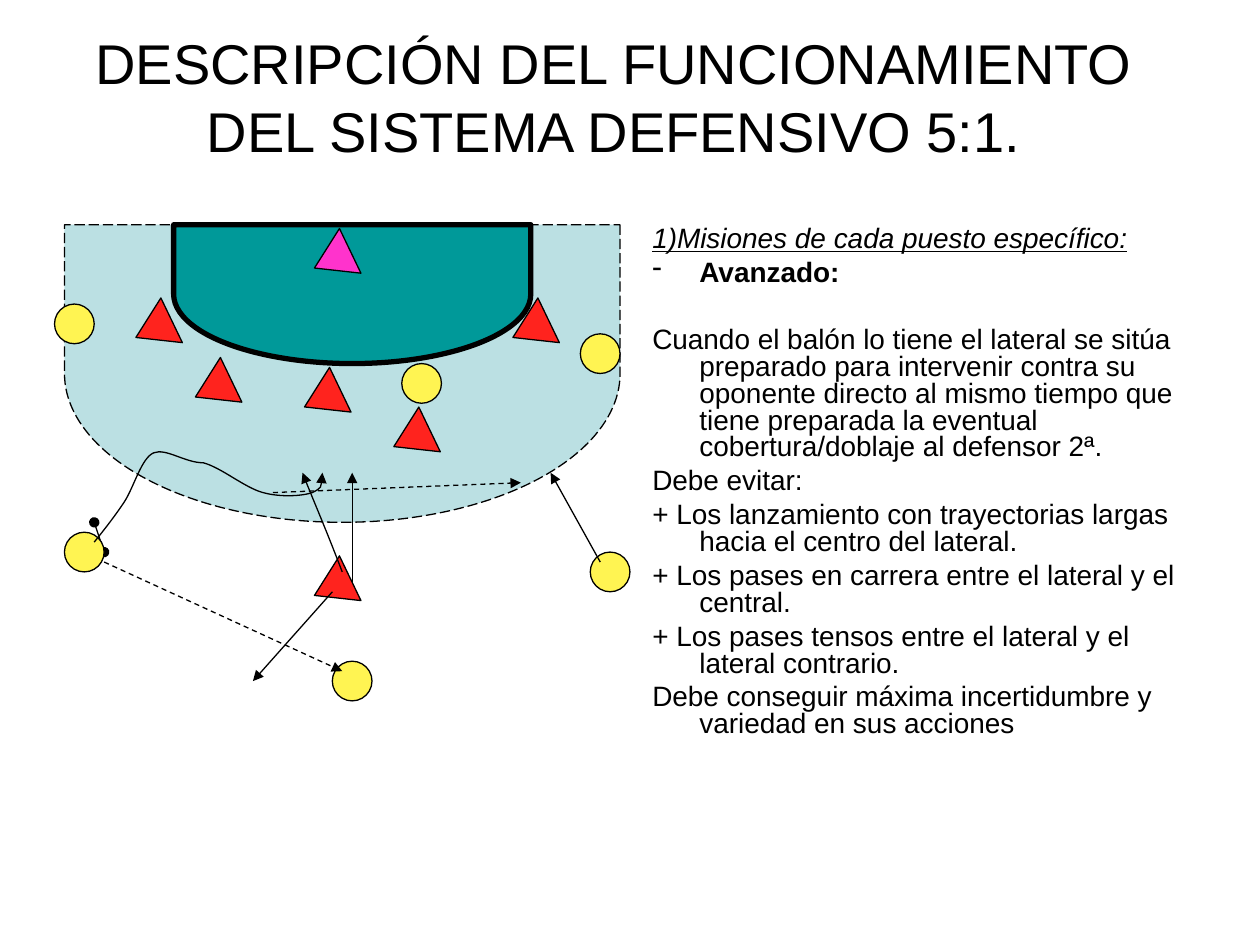
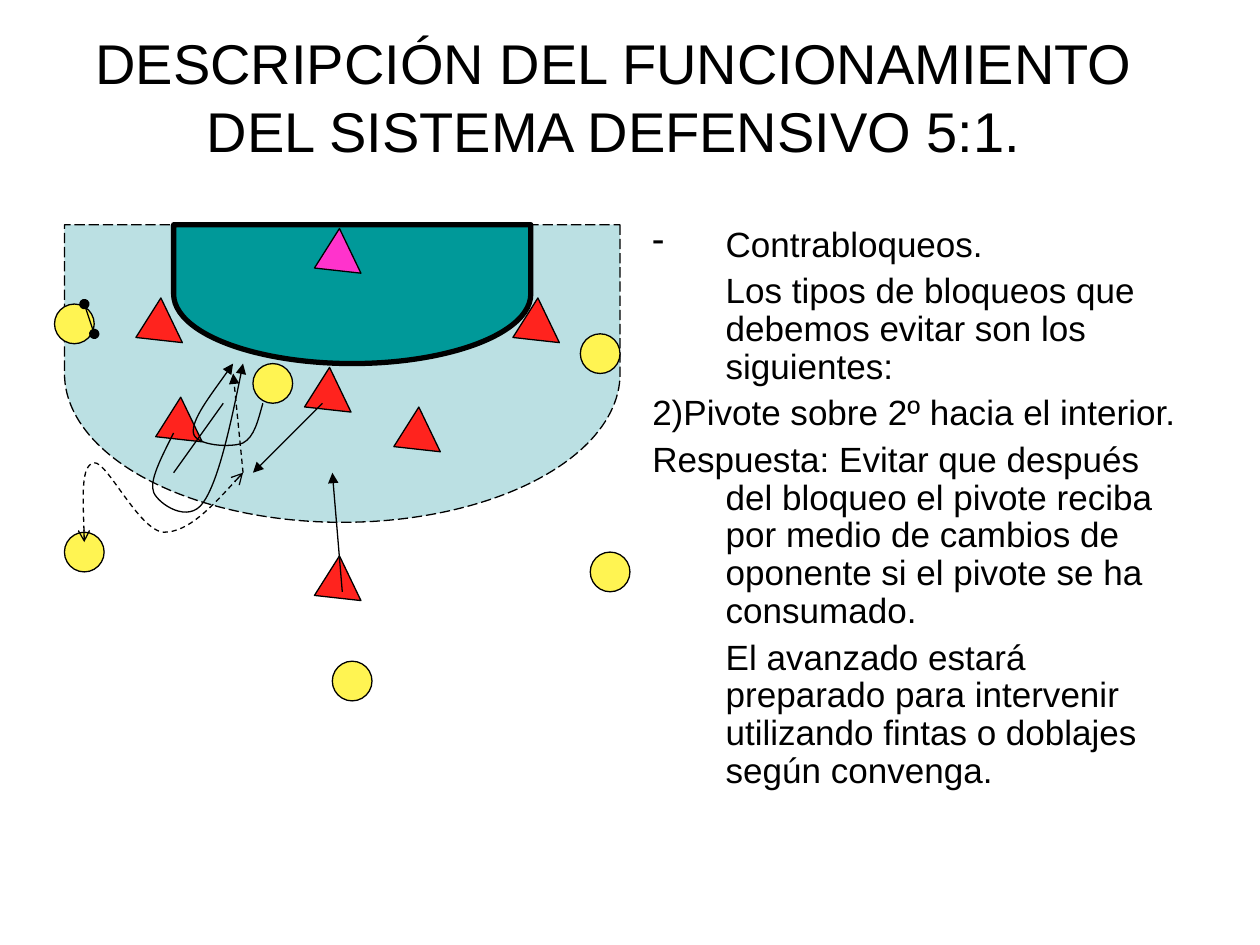
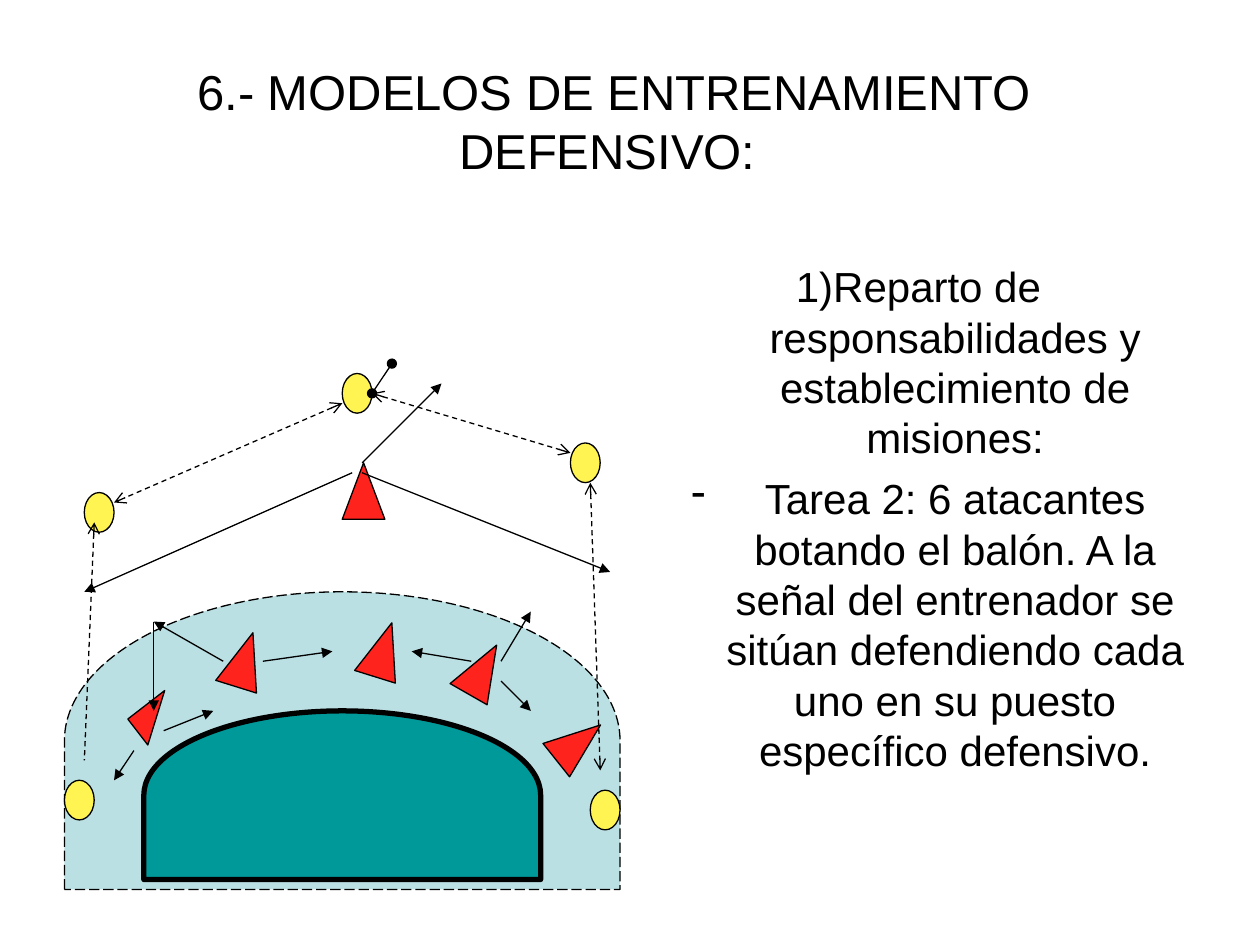
from dataclasses import dataclass

from lxml.etree import SubElement
from pptx import Presentation
from pptx.dml.color import RGBColor
from pptx.enum.dml import MSO_LINE
from pptx.enum.shapes import MSO_CONNECTOR, MSO_SHAPE
from pptx.enum.text import MSO_ANCHOR, PP_ALIGN
from pptx.oxml.ns import qn
from pptx.util import Cm, Pt


@dataclass(frozen=True)
class Theme:
    """Colours, font, type sizes and line widths of the deck."""
    font: str = "Arial"
    ink: str = "000000"
    court: str = "BBE0E3"
    goal_area: str = "009999"
    defender: str = "FF231E"
    attacker: str = "FFF452"
    keeper: str = "FF33CC"
    title: int = 32
    section_title: int = 28
    small_body: int = 16
    body: int = 20
    large_body: int = 24
    thin: float = 0.75
    thick: float = 3


@dataclass(frozen=True)
class Box:
    """A region in centimetres."""
    left: float
    top: float
    width: float
    height: float

    def point(self, x, y):
        """Turn an offset inside the box into slide lengths."""
        return Cm(self.left + x), Cm(self.top + y)

    def inner(self, x, y, width, height):
        """Give a box placed relative to this one."""
        return Box(self.left + x, self.top + y, width, height)

    def frame(self):
        """Give left, top, width and height as slide lengths."""
        return Cm(self.left), Cm(self.top), Cm(self.width), Cm(self.height)


THEME = Theme()
TITLE_BOX = Box(1.27, 0.76, 22.22, 2.36)
SECTION_TITLE_BOX = Box(1.27, 0.76, 22.22, 3.35)
TEXT_BOX = Box(12.9, 4.45, 11.23, 12.57)
LOW_TEXT_BOX = Box(12.9, 5.13, 11.23, 12.6)
COURT = Box(1.3, 4.53, 11.2, 6)
LOW_COURT = Box(1.3, 11.93, 11.2, 6)

SYSTEM_TITLE = "DESCRIPCIÓN DEL FUNCIONAMIENTO DEL SISTEMA DEFENSIVO 5:1."
# Offsets from the corner of the court, in centimetres.
KEEPER = (4.9, 0.3)
BASE_DEFENDERS = [(1.3, 1.7), (4.7, 3.1), (4.9, 6.9), (6.5, 3.9), (8.9, 1.7)]
BASE_ATTACKERS = [(-0.2, 1.6), (0, 6.2), (10.4, 2.2), (10.6, 6.6), (5.4, 8.8)]


def colour(code):
    """Make a colour from its hex code."""
    return RGBColor.from_string(code)


def style_line(shape, width=THEME.thin, dash=None, head=None, tail=None):
    """Set the outline of a shape or connector and its line ends."""
    shape.line.color.rgb = colour(THEME.ink)
    shape.line.width = Pt(width)
    if dash:
        shape.line.dash_style = dash
    outline = shape.element.spPr.find(qn("a:ln"))
    for tag, kind in (("a:headEnd", head), ("a:tailEnd", tail)):
        if kind:
            SubElement(outline, qn(tag)).set("type", kind)


def add_figure(page, kind, box, fill, rotation=0, width=THEME.thin, dash=None):
    """Add a filled, outlined preset shape in the box."""
    figure = page.shapes.add_shape(kind, *box.frame())
    figure.shadow.inherit = False
    figure.rotation = rotation
    figure.fill.solid()
    figure.fill.fore_color.rgb = colour(fill)
    style_line(figure, width, dash)
    return figure


def add_text_box(page, box, anchor=MSO_ANCHOR.TOP):
    """Add a wrapping text box and return its text frame."""
    frame = page.shapes.add_textbox(*box.frame()).text_frame
    frame.word_wrap = True
    frame.vertical_anchor = anchor
    return frame


def add_span(para, text, size, bold=False, underlined_italic=False):
    """Add one run to a paragraph."""
    span = para.add_run()
    span.text = text
    span.font.name = THEME.font
    span.font.size = Pt(size)
    span.font.color.rgb = colour(THEME.ink)
    span.font.bold = bold
    span.font.italic = underlined_italic
    span.font.underline = underlined_italic


def add_title(page, box, text, size=THEME.title):
    """Write the centred title of a slide."""
    para = add_text_box(page, box, MSO_ANCHOR.MIDDLE).paragraphs[0]
    para.alignment = PP_ALIGN.CENTER
    add_span(para, text, size)


def add_body(page, box, items, size, margin, spacing, before,
             alignment=PP_ALIGN.LEFT):
    """Write paragraphs given as (text, options) with a hanging indent."""
    frame = add_text_box(page, box)
    for index, (text, options) in enumerate(items):
        para = frame.add_paragraph() if index else frame.paragraphs[0]
        para.alignment = alignment
        para.line_spacing = spacing
        para.space_before = Pt(options.get("before", before))
        settings = para._p.get_or_add_pPr()
        hanging = 0 if options.get("block") else margin
        settings.set("marL", str(Cm(margin)))
        settings.set("indent", str(-Cm(hanging)))
        if options.get("bullet"):
            tint = SubElement(settings, qn("a:buClr"))
            SubElement(tint, qn("a:srgbClr")).set("val", THEME.ink)
            SubElement(settings, qn("a:buChar")).set("char", "-")
        add_span(para, text, size, options.get("bold", False),
                 options.get("heading", False))


def draw_half_round(page, box, fill, turn, width, dash=None):
    """Draw a zone whose round side faces down (90) or up (270)."""
    shift = (box.width - box.height) / 2
    upright = box.inner(shift, -shift, box.height, box.width)
    add_figure(page, MSO_SHAPE.FLOWCHART_DELAY, upright, fill, turn, width, dash)


def draw_court(page, court, goal_area, turn):
    """Draw the nine metre zone with the goal area inside."""
    draw_half_round(page, court, THEME.court, turn, THEME.thin, MSO_LINE.LONG_DASH)
    draw_half_round(page, goal_area, THEME.goal_area, turn, THEME.thick)


def place_attackers(page, court, spots, width=0.8):
    """Place the attackers as ellipses."""
    for x, y in spots:
        add_figure(page, MSO_SHAPE.OVAL, court.inner(x, y, width, 0.8),
                   THEME.attacker)


def place_defender(page, court, spot, rotation=244.3, size=(1, 0.8),
                   fill=THEME.defender):
    """Place one defender as a triangle."""
    return add_figure(page, MSO_SHAPE.ISOSCELES_TRIANGLE,
                      court.inner(*spot, *size), fill, rotation)


def draw_move(page, court, start, end, head=None, tail="triangle", dash=None):
    """Draw a straight move between two spots."""
    move = page.shapes.add_connector(MSO_CONNECTOR.STRAIGHT,
                                     *court.point(*start), *court.point(*end))
    style_line(move, dash=dash, head=head, tail=tail)
    SubElement(move.element.spPr, qn("a:effectLst"))


def draw_moves(page, court, moves, **style):
    """Draw several straight moves in one style."""
    for start, end in moves:
        draw_move(page, court, start, end, **style)


def draw_ball(page, court, start, end):
    """Draw the ball mark, a short line with round ends."""
    draw_move(page, court, start, end, head="oval", tail="oval")


def draw_curve(page, court, spots, head=None, tail="triangle", dash=None):
    """Draw a Bézier move: a start, then three spots for each piece."""
    points = [court.point(*spot) for spot in spots]
    builder = page.shapes.build_freeform(*points[0])
    builder.add_line_segments(points[1:], close=False)
    curve = builder.convert_to_shape()
    curve.shadow.inherit = False
    curve.fill.background()
    style_line(curve, dash=dash, head=head, tail=tail)
    outline = next(curve.element.iter(qn("a:path")))
    for index, segment in enumerate(outline.findall(qn("a:lnTo"))):
        if index % 3 == 0:
            piece = SubElement(outline, qn("a:cubicBezTo"))
        piece.append(segment[0])
        outline.remove(segment)


def draw_system(page, court, second_defender, pivot, ball, ball_on_top):
    """Draw the 5:1 system with the players that change from play to play."""
    draw_court(page, court, court.inner(2.2, 0, 7.2, 2.8), 90)
    if not ball_on_top:
        draw_ball(page, court, *ball)
    place_attackers(page, court, BASE_ATTACKERS + [pivot])
    if ball_on_top:
        draw_ball(page, court, *ball)
    place_defender(page, court, KEEPER, fill=THEME.keeper)
    for spot in BASE_DEFENDERS + [second_defender]:
        place_defender(page, court, spot)


def build_advanced_page(page):
    """Build the slide on the missions of the advanced defender."""
    add_title(page, TITLE_BOX, SYSTEM_TITLE)
    add_body(page, TEXT_BOX, [
        ("1)Misiones de cada puesto específico:", {"heading": True}),
        ("Avanzado:", {"bullet": True, "bold": True}),
        ("Cuando el balón lo tiene el lateral se sitúa preparado para "
         "intervenir contra su oponente directo al mismo tiempo que tiene "
         "preparada la eventual cobertura/doblaje al defensor 2ª.",
         {"before": 23}),
        ("Debe evitar:", {}),
        ("+ Los lanzamiento con trayectorias largas hacia el centro del "
         "lateral.", {}),
        ("+ Los pases en carrera entre el lateral y el central.", {}),
        ("+ Los pases tensos entre el lateral y el lateral contrario.", {}),
        ("Debe conseguir máxima incertidumbre y variedad en sus acciones", {}),
    ], THEME.small_body, margin=0.95, spacing=0.8, before=4)

    draw_system(page, COURT, (2.5, 2.9), (6.8, 2.8), ((0.6, 6), (0.8, 6.6)),
                ball_on_top=False)
    draw_moves(page, COURT, [((0.8, 6.8), (5.6, 9)), ((4.2, 5.4), (9.2, 5.2))],
               dash=MSO_LINE.DASH)
    draw_moves(page, COURT, [((5.4, 7.4), (3.8, 9.2)), ((10.8, 6.8), (9.8, 5)),
                             ((5.8, 7.2), (5.8, 5))])
    draw_curve(page, COURT, [
        (0.6, 6.4), (0.8, 6.15), (1, 5.9), (1.2, 5.6),
        (1.4, 5.3), (1.55, 4.7), (1.8, 4.6), (2.05, 4.5), (2.43, 4.8), (2.8, 4.8),
        (3.17, 4.9), (3.63, 5.3), (4, 5.4), (4.36, 5.5), (4.8, 5.47), (5, 5.4),
        (5.2, 5.3), (5.2, 5.17), (5.2, 5)])
    draw_curve(page, COURT, [(5.6, 7), (5.28, 6.16), (4.92, 5.33), (4.8, 5)])


def build_screen_page(page):
    """Build the slide on answers to screens."""
    add_title(page, TITLE_BOX, SYSTEM_TITLE)
    add_body(page, TEXT_BOX, [
        ("Contrabloqueos.", {"bullet": True}),
        ("Los tipos de bloqueos que debemos evitar son los siguientes:",
         {"block": True}),
        ("2)Pivote sobre 2º hacia el interior.", {}),
        ("Respuesta: Evitar que después del bloqueo el pivote reciba por "
         "medio de cambios de oponente si el pivote se ha consumado.", {}),
        ("El avanzado estará preparado para intervenir utilizando fintas o "
         "doblajes según convenga.", {"block": True}),
    ], THEME.body, margin=1.48, spacing=0.9, before=5)

    draw_system(page, COURT, (1.7, 3.7), (3.8, 2.8), ((0.4, 1.6), (0.6, 2.2)),
                ball_on_top=True)
    draw_move(page, COURT, (3.2, 3.6), (2.2, 5), tail=None)
    draw_move(page, COURT, (3.6, 5), (3.4, 3), dash=MSO_LINE.DASH)
    draw_moves(page, COURT, [((5.2, 3.6), (3.8, 5)), ((5.6, 7.4), (5.4, 5))])
    draw_curve(page, COURT, [
        (4, 3.6), (3.9, 3.95), (3.83, 4.28), (3.6, 4.4),
        (3.37, 4.5), (2.64, 4.46), (2.6, 4.2), (2.56, 3.93), (3, 3.37), (3.4, 2.8)])
    draw_curve(page, COURT, [
        (0.4, 6.4), (0.38, 5.6), (0.33, 4.84), (0.6, 4.8),
        (0.86, 4.77), (1.5, 6.16), (2, 6.2), (2.5, 6.2), (3.05, 5.6), (3.6, 5)],
        head="arrow", tail="arrow", dash=MSO_LINE.DASH)
    draw_curve(page, COURT, [
        (2.2, 4.2), (1.95, 4.7), (1.7, 5.17), (1.8, 5.4),
        (1.9, 5.63), (2.5, 6.04), (2.8, 5.6), (3.1, 5.17), (3.36, 4), (3.6, 2.8)])


def build_training_page(page):
    """Build the slide on defensive training models."""
    add_title(page, SECTION_TITLE_BOX,
              "6.- MODELOS DE ENTRENAMIENTO DEFENSIVO: ", THEME.section_title)
    add_body(page, LOW_TEXT_BOX, [
        ("1)Reparto de responsabilidades y establecimiento de misiones:", {}),
        ("Tarea 2: 6 atacantes botando el balón. A la señal del entrenador se "
         "sitúan defendiendo cada uno en su puesto específico defensivo.",
         {"bullet": True}),
    ], THEME.large_body, margin=1.48, spacing=1.0, before=6,
        alignment=PP_ALIGN.CENTER)

    court = LOW_COURT
    draw_court(page, court, court.inner(1.6, 2.4, 8, 3.4), 270)
    for spot, rotation in [((8, 1), 29.8), ((9.93, 2.47), 51.5), ((5.6, -2.6), 0),
                           ((3.2, 0.8), 17.3), ((6, 0.6), 17.3)]:
        place_defender(page, court, spot, rotation, (0.86, 1.14))
    left_wing = place_defender(page, court, (1.52, 2.07), 52.3, (0.66, 0.94))
    left_wing.adjustments[0] = 0
    place_attackers(page, court, [(5.6, -4.4), (10.6, 4), (10.2, -3), (0, 3.8),
                                  (0.4, -2)], width=0.6)
    draw_ball(page, court, (6.2, -4), (6.6, -4.6))
    draw_moves(page, court, [((5.6, -3.8), (1, -1.8)), ((6.2, -4), (10.2, -2.8)),
                             ((10.6, -2.2), (10.8, 3.6))],
               head="arrow", tail="arrow", dash=MSO_LINE.DASH)
    draw_move(page, court, (0.6, -1.4), (0.4, 3.4), head="arrow", tail=None,
              dash=MSO_LINE.DASH)
    draw_moves(page, court, [
        ((1.4, 3.2), (1, 3.8)), ((2, 2.8), (3, 2.4)),
        ((3.2, 1.4), (1.8, 0.6)), ((1.8, 0.6), (1.8, 2.4)),
        ((4, 1.4), (5.4, 1.2)), ((8.2, 1.4), (7, 1.2)),
        ((8.8, 1.4), (9.4, 0.4)), ((8.8, 1.8), (9.4, 2.4)),
        ((6, -2.6), (7.6, -4.2)), ((5.8, -2.4), (0.4, 0)),
        ((6, -2.4), (11, -0.4))])


deck = Presentation()
deck.slide_width, deck.slide_height = Cm(25.4), Cm(19.05)
for build_page in (build_advanced_page, build_screen_page, build_training_page):
    build_page(deck.slides.add_slide(deck.slide_layouts[6]))
deck.save("out.pptx")
